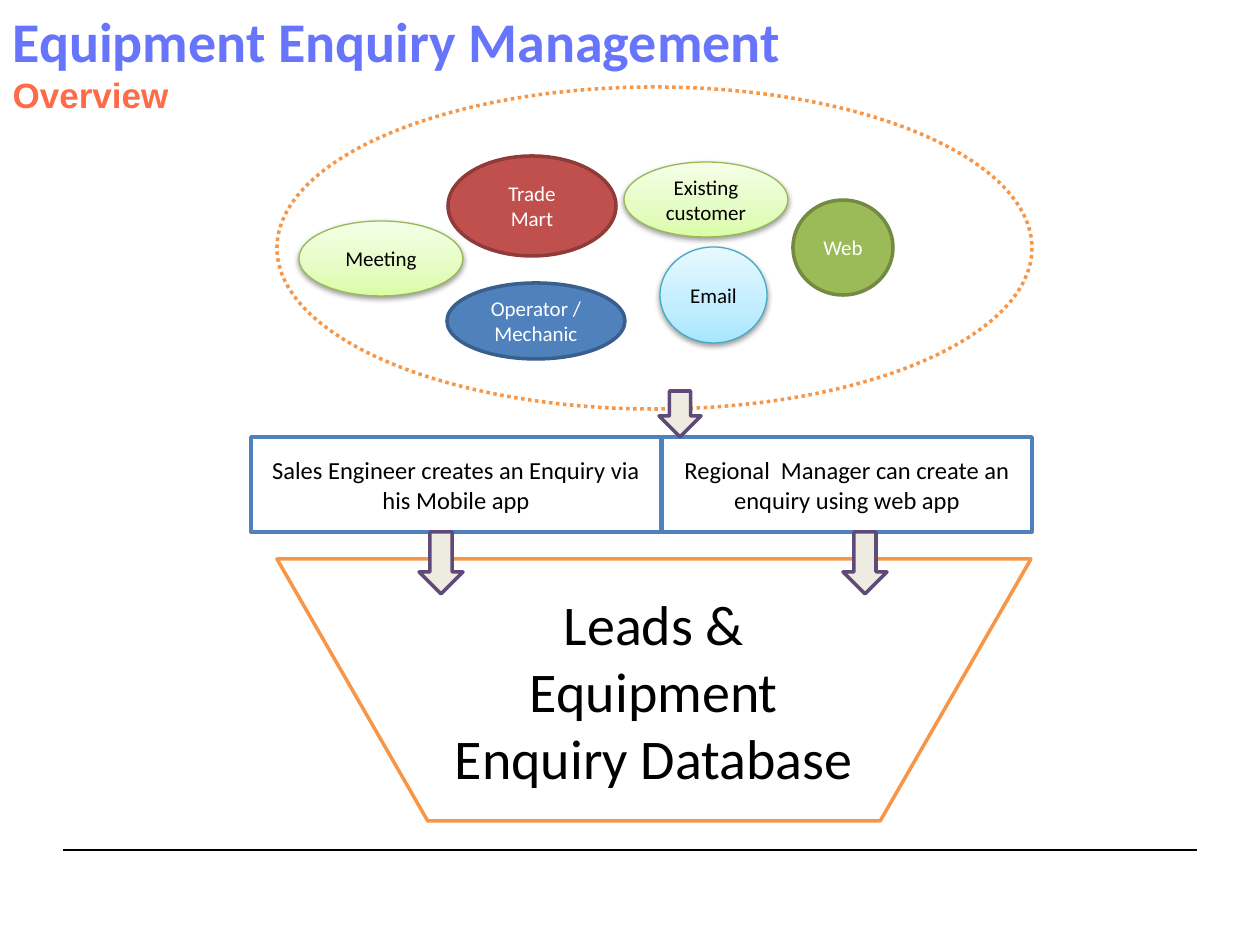
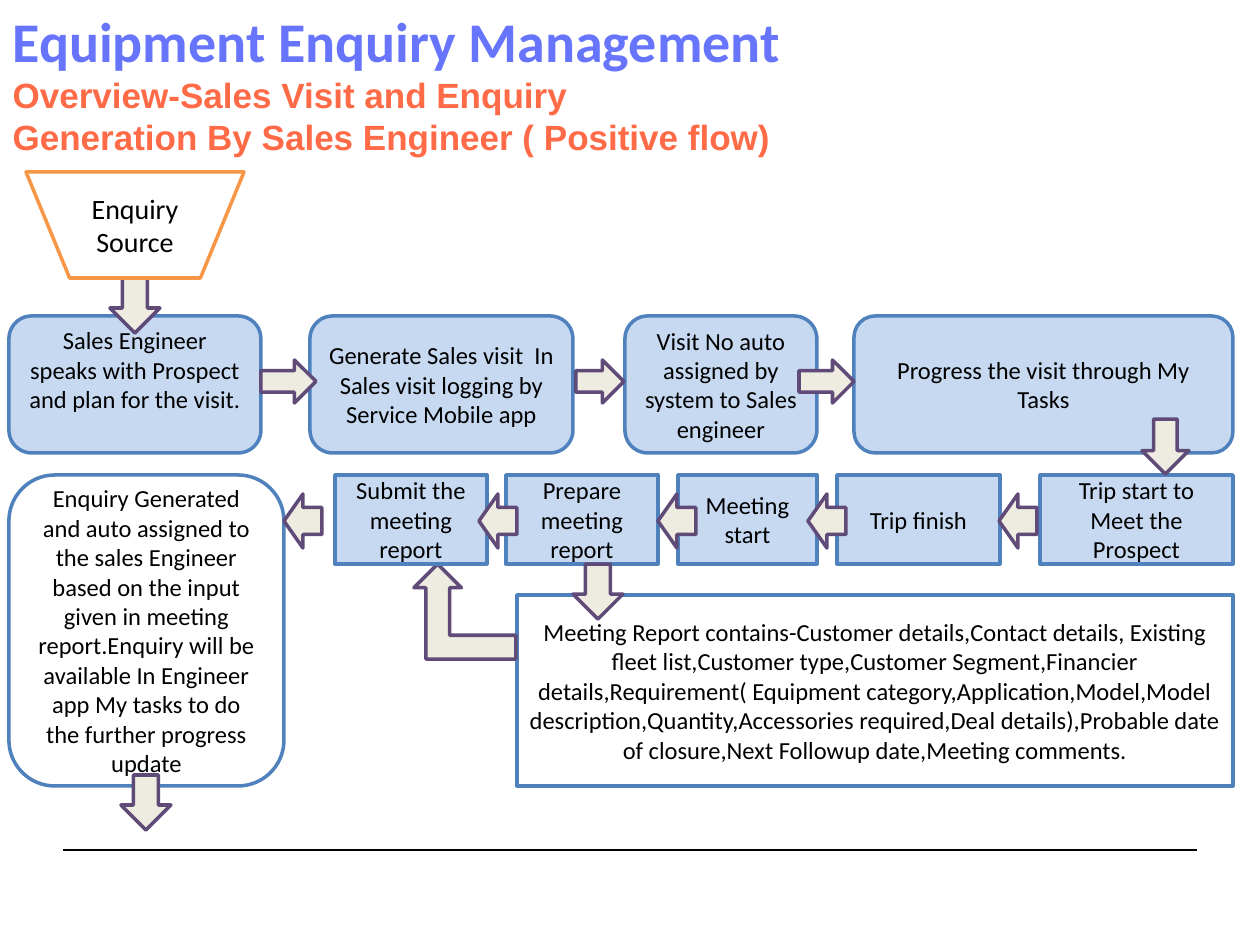
from copy import deepcopy

from lxml.etree import SubElement
from pptx import Presentation
from pptx.dml.color import RGBColor
from pptx.enum.dml import MSO_LINE
from pptx.enum.shapes import MSO_CONNECTOR, MSO_SHAPE
from pptx.enum.text import MSO_ANCHOR, MSO_AUTO_SIZE, PP_ALIGN
from pptx.oxml.ns import qn
from pptx.util import Emu, Pt

PX_PER_INCH = 126
SLIDE_SIZE = (1260, 945)
TITLE_LAYOUT = 5

BLACK, WHITE = "000000", "FFFFFF"
BLUE, PALE_BLUE, ORANGE = "4F81BD", "C6D9F1", "F79646"
ARROW_FILL, ARROW_LINE = "EEECE1", "5F4A78"
GREEN_GLOW = ("DAFDA7", "E4FCC2", "F5FFE7")
BLUE_GLOW = ("A7E6FF", "C1EDFF", "E7F8FF")

HEADING = {"size": Pt(32), "name": "Calibri", "bold": True}
SUBTITLE = {"size": Pt(20), "name": "Arial", "bold": True}


def px(length):
    return Emu(round(length * 914400 / PX_PER_INCH))


def colour(value):
    return RGBColor.from_string(value)


def set_attributes(target, values):
    for name, value in values.items():
        setattr(target, name, value)


def write(paragraph, text, text_colour, values, alignment=PP_ALIGN.CENTER):
    paragraph.alignment = alignment
    run = paragraph.add_run()
    run.text = text
    set_attributes(run.font, values)
    run.font.color.rgb = colour(text_colour)


def add_glow(shape, colours):
    """Fill with three stops, lightest at the top, over a soft shadow."""
    shape.fill.gradient()
    shape.fill.gradient_angle = 90
    first = shape.fill.gradient_stops[0]._gs
    first.addnext(deepcopy(first))
    for stop, position, value in zip(shape.fill.gradient_stops, (0, 0.35, 1), colours):
        stop.position = position
        stop.color.rgb = colour(value)
    effects = shape._element.spPr.find(qn("a:effectLst"))
    shadow = SubElement(effects, qn("a:outerShdw"), blurRad="40000", dist="20000",
                        dir="5400000", rotWithShape="0")
    black = SubElement(shadow, qn("a:srgbClr"), val=BLACK)
    SubElement(black, qn("a:alpha"), val="38000")


def add_part(slide, kind, box, text="", fill=WHITE, line=BLUE, size=14,
             text_colour=BLACK, line_width=2):
    """Draw a shape; fill is one colour or the three colours of a glow."""
    shape = slide.shapes.add_shape(kind, *map(px, box))
    shape.shadow.inherit = False
    if isinstance(fill, tuple):
        add_glow(shape, fill)
    else:
        shape.fill.solid()
        shape.fill.fore_color.rgb = colour(fill)
    shape.line.color.rgb = colour(line)
    shape.line.width = Pt(line_width)
    if text:
        set_attributes(shape.text_frame, {
            "word_wrap": True, "vertical_anchor": MSO_ANCHOR.MIDDLE})
        write(shape.text_frame.paragraphs[0], text, text_colour,
              {"size": Pt(size), "name": "Calibri"})
    return shape


def add_arrow(slide, kind, box):
    return add_part(slide, kind, box, fill=ARROW_FILL, line=ARROW_LINE)


def add_titled_slide(presentation, subtitle_lines):
    """Add a slide with the shared title and footer rule."""
    slide = presentation.slides.add_slide(presentation.slide_layouts[TITLE_LAYOUT])
    title = slide.shapes.title
    set_attributes(title, {
        "left": 0, "top": 0, "width": px(1060), "height": px(82 + 42 * len(subtitle_lines))})
    frame = title.text_frame
    set_attributes(frame, {
        "word_wrap": True, "auto_size": MSO_AUTO_SIZE.NONE,
        "vertical_anchor": MSO_ANCHOR.TOP})
    write(frame.paragraphs[0], "Equipment Enquiry Management", "6775FD",
          HEADING, PP_ALIGN.LEFT)
    for line in subtitle_lines:
        write(frame.add_paragraph(), line, "FF6A47", SUBTITLE, PP_ALIGN.LEFT)

    rule = slide.shapes.add_connector(
        MSO_CONNECTOR.STRAIGHT, px(63), px(850), px(1197), px(850))
    rule.line.color.rgb = colour(BLACK)
    rule.line.width = Pt(0.75)
    SubElement(rule._element.spPr, qn("a:effectLst"))
    return slide


def add_enquiry_sources(slide, box):
    """Dotted ellipse holding the channels that enquiries come from."""
    left, top = box[:2]
    outline = add_part(slide, MSO_SHAPE.OVAL, box, line=ORANGE)
    outline.line.dash_style = MSO_LINE.ROUND_DOT
    # name, offset and size, fill, line, text colour, line width
    channels = [
        ("Trade Mart", (171, 69, 168, 100), "C0504D", "8E3B39", WHITE, 2),
        ("Email", (383, 160, 107, 96), BLUE_GLOW, "46AAC5", BLACK, 0.75),
        ("Web", (516, 113, 100, 95), "9BBB59", "738A42", WHITE, 2),
        ("Existing customer", (347, 75, 164, 75), GREEN_GLOW, "98B955", BLACK, 0.75),
        ("Operator / Mechanic", (170, 196, 178, 76), BLUE, "3A5F8C", WHITE, 2),
        ("Meeting", (22, 134, 164, 75), GREEN_GLOW, "98B955", BLACK, 0.75),
    ]
    for name, (x, y, width, height), fill, line, text_colour, line_width in channels:
        add_part(slide, MSO_SHAPE.OVAL, (left + x, top + y, width, height), name,
                 fill, line, 12, text_colour, line_width)


def add_creators(slide, box):
    """Two adjoining boxes: who creates the enquiry."""
    left, top, width, height = box
    split = 411
    add_part(slide, MSO_SHAPE.RECTANGLE, (left + split, top, width - split, height),
             "Regional  Manager can create an enquiry using web app")
    add_part(slide, MSO_SHAPE.RECTANGLE, (left, top, split - 1, height),
             "Sales Engineer creates an Enquiry via his Mobile app")


def build_overview(presentation):
    slide = add_titled_slide(presentation, ["Overview"])
    add_enquiry_sources(slide, (277, 87, 755, 322))
    add_creators(slide, (251, 437, 781, 95))
    add_part(slide, MSO_SHAPE.FLOWCHART_MANUAL_OPERATION, (277, 559, 754, 262),
             "Leads & Equipment Enquiry Database", line=ORANGE, size=32)
    for box in [(659, 391, 42, 46), (843, 532, 44, 62), (419, 532, 44, 62)]:
        add_arrow(slide, MSO_SHAPE.DOWN_ARROW, box)


def add_step_row(slide, kind, top, height, steps):
    """Draw filled steps side by side, given as left, width and text."""
    return [add_part(slide, kind, (left, top, width, height), text, PALE_BLUE)
            for left, width, text in steps]


def add_visit_planning(slide, top):
    """First row, read from left to right."""
    steps = add_step_row(slide, MSO_SHAPE.ROUNDED_RECTANGLE, top, 137, [
        (9, 252, "Sales Engineer speaks with Prospect and plan for the visit."),
        (310, 263, "Generate Sales visit  In Sales visit logging by Service Mobile app"),
        (625, 192, "Visit No auto assigned by system to Sales engineer"),
        (854, 379, "Progress the visit through My Tasks"),
    ])
    steps[0].text_frame.margin_bottom = px(36)
    steps[-1].adjustments[0] = 0.155
    for left, width in [(261, 55), (576, 48), (799, 55)]:
        add_arrow(slide, MSO_SHAPE.RIGHT_ARROW, (left, top + 44, width, 43))


def add_meeting_steps(slide, top):
    """Second row, read from right to left."""
    add_step_row(slide, MSO_SHAPE.RECTANGLE, top, 89, [
        (1040, 193, "Trip start to Meet the Prospect"),
        (837, 163, "Trip finish"),
        (678, 139, "Meeting start"),
        (506, 152, "Prepare meeting report"),
        (335, 152, "Submit the meeting report"),
    ])
    for left in (999, 808, 658, 479, 284):
        add_arrow(slide, MSO_SHAPE.LEFT_ARROW, (left, top + 19, 38, 54))


def add_results(slide, top):
    """Generated enquiry on the left, report contents on the right."""
    add_part(slide, MSO_SHAPE.ROUNDED_RECTANGLE, (9, top, 275, 311),
             "Enquiry Generated and auto assigned to the sales Engineer based on the "
             "input given in meeting report.Enquiry will be available In Engineer app "
             "My tasks to do the further progress update")
    add_part(slide, MSO_SHAPE.RECTANGLE, (517, top + 120, 716, 191),
             "Meeting Report contains-Customer details,Contact details, Existing fleet "
             "list,Customer type,Customer Segment,Financier details,Requirement( "
             "Equipment category,Application,Model,Model description,Quantity,"
             "Accessories required,Deal details),Probable date of closure,"
             "Next Followup date,Meeting comments.")
    bent_arrow = add_arrow(slide, MSO_SHAPE.BENT_UP_ARROW, (414, top + 89, 102, 95))
    bent_arrow._element.spPr.find(qn("a:xfrm")).set("flipH", "1")


def build_positive_flow(presentation):
    slide = add_titled_slide(presentation, [
        "Overview-Sales Visit and Enquiry",
        "Generation By Sales Engineer ( Positive flow)"])
    add_visit_planning(slide, 316)
    add_results(slide, 475)
    add_meeting_steps(slide, 475)
    for left, top, width in [(110, 278, 50), (1142, 419, 47), (573, 564, 50), (121, 775, 50)]:
        add_arrow(slide, MSO_SHAPE.DOWN_ARROW, (left, top, width, 55))
    add_part(slide, MSO_SHAPE.FLOWCHART_MANUAL_OPERATION, (26, 172, 218, 106),
             "Enquiry Source", line=ORANGE, size=16)


def main():
    presentation = Presentation()
    presentation.slide_width, presentation.slide_height = map(px, SLIDE_SIZE)
    build_overview(presentation)
    build_positive_flow(presentation)
    presentation.save("out.pptx")


if __name__ == "__main__":
    main()
